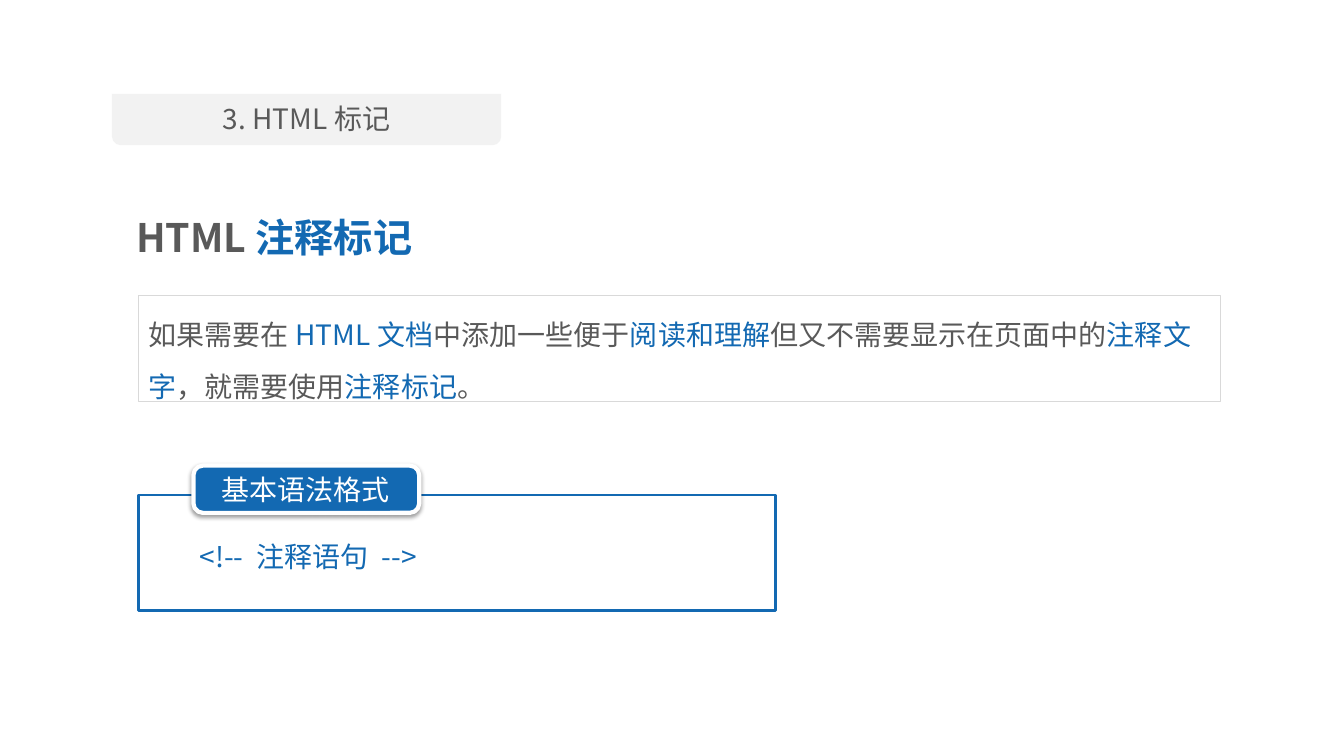
"""Build the slide on HTML comment markup."""
from dataclasses import dataclass

from lxml import etree
from pptx import Presentation
from pptx.dml.color import RGBColor
from pptx.enum.shapes import MSO_SHAPE
from pptx.enum.text import MSO_ANCHOR, MSO_AUTO_SIZE, PP_ALIGN
from pptx.oxml.ns import qn
from pptx.util import Pt

RECT = MSO_SHAPE.RECTANGLE
ROUNDED = MSO_SHAPE.ROUNDED_RECTANGLE
TAB = MSO_SHAPE.ROUND_2_SAME_RECTANGLE
TOP, MIDDLE = MSO_ANCHOR.TOP, MSO_ANCHOR.MIDDLE
LEFT, CENTER = PP_ALIGN.LEFT, PP_ALIGN.CENTER
NO_FIT = MSO_AUTO_SIZE.NONE


@dataclass(frozen=True)
class Theme:
    """Hold the font, colours and type sizes."""
    font: str = "Noto Sans CJK SC"
    ink: str = "595959"
    accent: str = "1369B2"
    white: str = "FFFFFF"
    tab: str = "F2F2F2"
    border: str = "D9D9D9"
    shadow: str = "000000"
    title: int = 28
    text: int = 20


class Deck:
    """Draw styled elements on the current slide."""

    def __init__(self, prs, theme):
        """Add a title and content slide."""
        self.theme = theme
        self.s = prs.slides.add_slide(prs.slide_layouts[1])

    def place(self, sp, box):
        """Set the position and size of a shape."""
        sp.left, sp.top, sp.width, sp.height = map(Pt, box)

    def paint(self, sp, fill, line=None, width=0):
        """Set the fill and outline of a shape."""
        sp.fill.solid()
        sp.fill.fore_color.rgb = RGBColor.from_string(fill)
        if line:
            sp.line.color.rgb = RGBColor.from_string(line)
            sp.line.width = Pt(width)
        else:
            sp.line.fill.background()

    def set_text(self, sp, runs, size, bold=False, align=LEFT, anchor=MIDDLE, wrap=True):
        """Fill a shape with one paragraph of coloured runs."""
        tf = sp.text_frame
        tf.auto_size, tf.word_wrap, tf.vertical_anchor = NO_FIT, wrap, anchor
        p = tf.paragraphs[0]
        p.alignment, p.space_before = align, Pt(0)
        for text, color in runs:
            r = p.add_run()
            r.text = text
            r.font.name, r.font.size, r.font.bold = self.theme.font, Pt(size), bold
            r.font.color.rgb = RGBColor.from_string(color)
            etree.SubElement(r._r.get_or_add_rPr(), qn("a:ea"), typeface=self.theme.font)
        return p

    def title(self, box, runs):
        """Fill the title placeholder."""
        sp = self.s.shapes.title
        self.place(sp, box)
        self.set_text(sp, runs, self.theme.title, bold=True, wrap=False)

    def body(self, box, runs, spacing):
        """Fill the body placeholder as a framed paragraph."""
        sp = self.s.placeholders[1]
        self.place(sp, box)
        self.paint(sp, self.theme.white, self.theme.border, 0.75)
        p = self.set_text(sp, runs, self.theme.text, anchor=TOP)
        p.line_spacing = Pt(spacing)
        pPr = p._p.get_or_add_pPr()
        pPr.set("marL", "0")
        pPr.set("indent", "0")
        etree.SubElement(pPr, qn("a:buNone"))

    def shape(self, kind, box, fill, line=None, width=0):
        """Add a preset shape without a shadow."""
        sp = self.s.shapes.add_shape(kind, *map(Pt, box))
        sp.shadow.inherit = False
        self.paint(sp, fill, line, width)
        return sp

    def label(self, box, text, color, align=LEFT):
        """Add a one-line text box."""
        sp = self.s.shapes.add_textbox(*map(Pt, box))
        self.set_text(sp, [(text, color)], self.theme.text, align=align, wrap=False)

    def fade(self, sp, opacity):
        """Set the opacity of a solid fill in percent."""
        clr = sp._element.spPr.find(qn("a:solidFill"))[0]
        etree.SubElement(clr, qn("a:alpha"), val=str(opacity * 1000))

    def drop_shadow(self, sp, opacity, blur, distance):
        """Add a shadow that falls straight down."""
        effects = sp._element.spPr.find(qn("a:effectLst"))
        shadow = etree.SubElement(
            effects, qn("a:outerShdw"), blurRad=str(Pt(blur)), dist=str(Pt(distance)),
            dir="5400000", algn="t", rotWithShape="0")
        clr = etree.SubElement(shadow, qn("a:srgbClr"), val=self.theme.shadow)
        etree.SubElement(clr, qn("a:alpha"), val=str(opacity * 1000))


def main():
    """Build and save the slide."""
    prs = Presentation()
    prs.slide_width, prs.slide_height = Pt(960), Pt(540)
    theme = Theme()
    deck = Deck(prs, theme)
    ink, accent = theme.ink, theme.accent

    tab = deck.shape(TAB, (80, 67, 278, 36.7), theme.tab)
    tab.rotation = 180
    deck.label((80, 69, 278, 31.7), "3. HTML标记", ink, CENTER)

    deck.title((90, 148.3, 213, 41), [("HTML", ink), ("注释标记", accent)])
    deck.body((98.9, 211, 772.6, 75.6), [
        ("如果需要在", ink),
        ("HTML文档", accent),
        ("中添加一些便于", ink),
        ("阅读和理解", accent),
        ("但又不需要显示在页面中的", ink),
        ("注释文字", accent),
        ("，就需要使用", ink),
        ("注释标记", accent),
        ("。", ink),
    ], 36.5)

    frame = deck.shape(RECT, (98.9, 353.5, 455, 82.8), theme.white, accent, 2)
    deck.fade(frame, 90)
    button = deck.shape(ROUNDED, (138.2, 332.6, 161.3, 33.8), accent, theme.white, 3)
    button.adjustments[0] = 0.2
    deck.drop_shadow(button, 38, 3.1, 1.6)
    deck.label((151.2, 334, 135.4, 31.7), "基本语法格式", theme.white)
    deck.label((135.4, 381.6, 178.6, 31.7), "<!-- 注释语句 -->", accent)

    prs.save("out.pptx")


if __name__ == "__main__":
    main()
